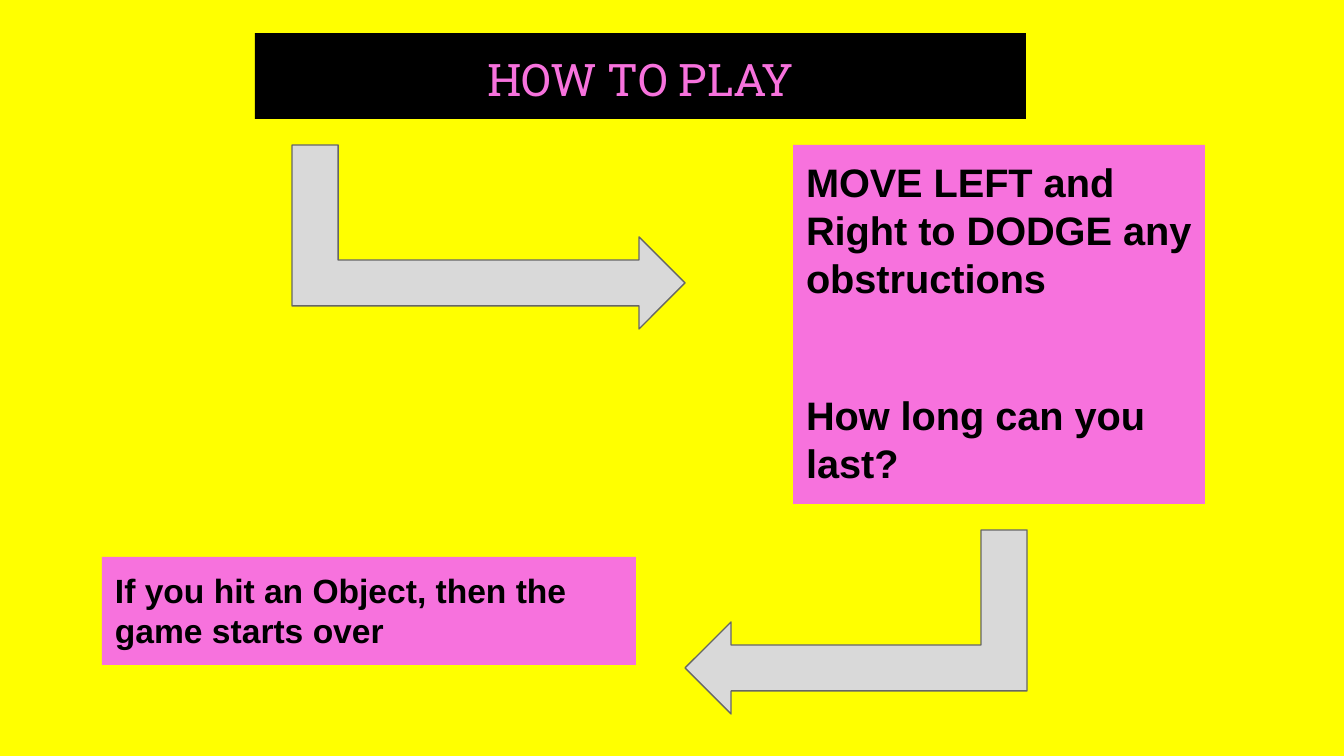
from lxml.etree import SubElement
from pptx import Presentation
from pptx.dml.color import RGBColor
from pptx.enum.shapes import MSO_SHAPE
from pptx.enum.text import MSO_ANCHOR as Anchor, MSO_AUTO_SIZE as AutoSize, PP_ALIGN as Align
from pptx.oxml.ns import qn
from pptx.util import Pt

TITLE = ["HOW TO PLAY"]
RULES = ["MOVE LEFT and Right to DODGE any obstructions", "How long can you last?"]
RESTART = ["If you hit an Object, then the game starts over"]

SLIDE_SIZE = (1344, 756)
TITLE_BOX = (255, 33, 771, 86)
RULES_BOX = (793, 145, 412, 359)
RESTART_BOX = (102, 557, 534, 108)
ARROWS = [
    {"box": (292, 145, 393, 184), "rotation": 90, "flipped": False},
    {"box": (685, 530, 342, 184), "rotation": 270, "flipped": True},
]
INSET = 13

THEME = {
    "yellow": RGBColor(0xFF, 0xFF, 0x00),
    "pink": RGBColor(0xF7, 0x72, 0xDD),
    "black": RGBColor(0x00, 0x00, 0x00),
    "arrow": RGBColor(0xD9, 0xD9, 0xD9),
    "outline": RGBColor(0x66, 0x66, 0x66),
    "outline_width": Pt(0.75),
    "title": {"name": "Roboto Slab", "size": Pt(24), "bold": False},
    "rules": {"name": "Arial", "size": Pt(21.3), "bold": True},
    "restart": {"name": "Arial", "size": Pt(18), "bold": True},
    "rules_gap": Pt(48),
}


def px(value):
    return round(value * 914400 / 134.4)


def set_attributes(target, values):
    for name, value in values.items():
        setattr(target, name, value)


def place(shape, box):
    set_attributes(shape, dict(zip(("left", "top", "width", "height"), map(px, box))))


def paint(shape, color):
    shape.fill.solid()
    shape.fill.fore_color.rgb = color


def write_box(shape, box, lines, fill, color, font, align=Align.LEFT, anchor=Anchor.TOP, gap=0):
    place(shape, box)
    paint(shape, fill)
    frame = shape.text_frame
    margins = {f"margin_{side}": px(INSET) for side in ("left", "top", "right", "bottom")}
    set_attributes(frame, {"word_wrap": True, "auto_size": AutoSize.NONE,
                           "vertical_anchor": anchor, **margins})
    frame.text = "\n".join(lines)
    for index, paragraph in enumerate(frame.paragraphs):
        properties = paragraph._p.get_or_add_pPr()
        properties.set("marL", "0")
        properties.set("indent", "0")
        SubElement(properties, qn("a:buNone"))
        set_attributes(paragraph, {"alignment": align, "line_spacing": 1.0,
                                   "space_before": gap if index else Pt(0)})
        for run in paragraph.runs:
            set_attributes(run.font, font)
            run.font.color.rgb = color


def add_arrow(slide, box, rotation, flipped):
    left, top, width, height = box
    shift = (width - height) / 2
    arrow = slide.shapes.add_shape(MSO_SHAPE.BENT_UP_ARROW, 0, 0, 0, 0)
    place(arrow, (left + shift, top - shift, height, width))
    arrow.rotation = rotation
    if flipped:
        arrow._element.spPr.xfrm.set("flipH", "1")
    for index in range(3):
        arrow.adjustments[index] = 0.25
    arrow.shadow.inherit = False
    paint(arrow, THEME["arrow"])
    arrow.line.color.rgb = THEME["outline"]
    arrow.line.width = THEME["outline_width"]


def main():
    presentation = Presentation()
    presentation.slide_width, presentation.slide_height = map(px, SLIDE_SIZE)
    slide = presentation.slides.add_slide(presentation.slide_layouts[1])
    paint(slide.background, THEME["yellow"])
    write_box(slide.shapes.title, TITLE_BOX, TITLE, THEME["black"], THEME["pink"],
              THEME["title"], align=Align.CENTER, anchor=Anchor.BOTTOM)
    write_box(slide.placeholders[1], RULES_BOX, RULES, THEME["pink"], THEME["black"],
              THEME["rules"], gap=THEME["rules_gap"])
    for arrow in ARROWS:
        add_arrow(slide, **arrow)
    restart = slide.shapes.add_textbox(0, 0, 0, 0)
    write_box(restart, RESTART_BOX, RESTART, THEME["pink"], THEME["black"], THEME["restart"])
    presentation.save("out.pptx")


if __name__ == "__main__":
    main()
